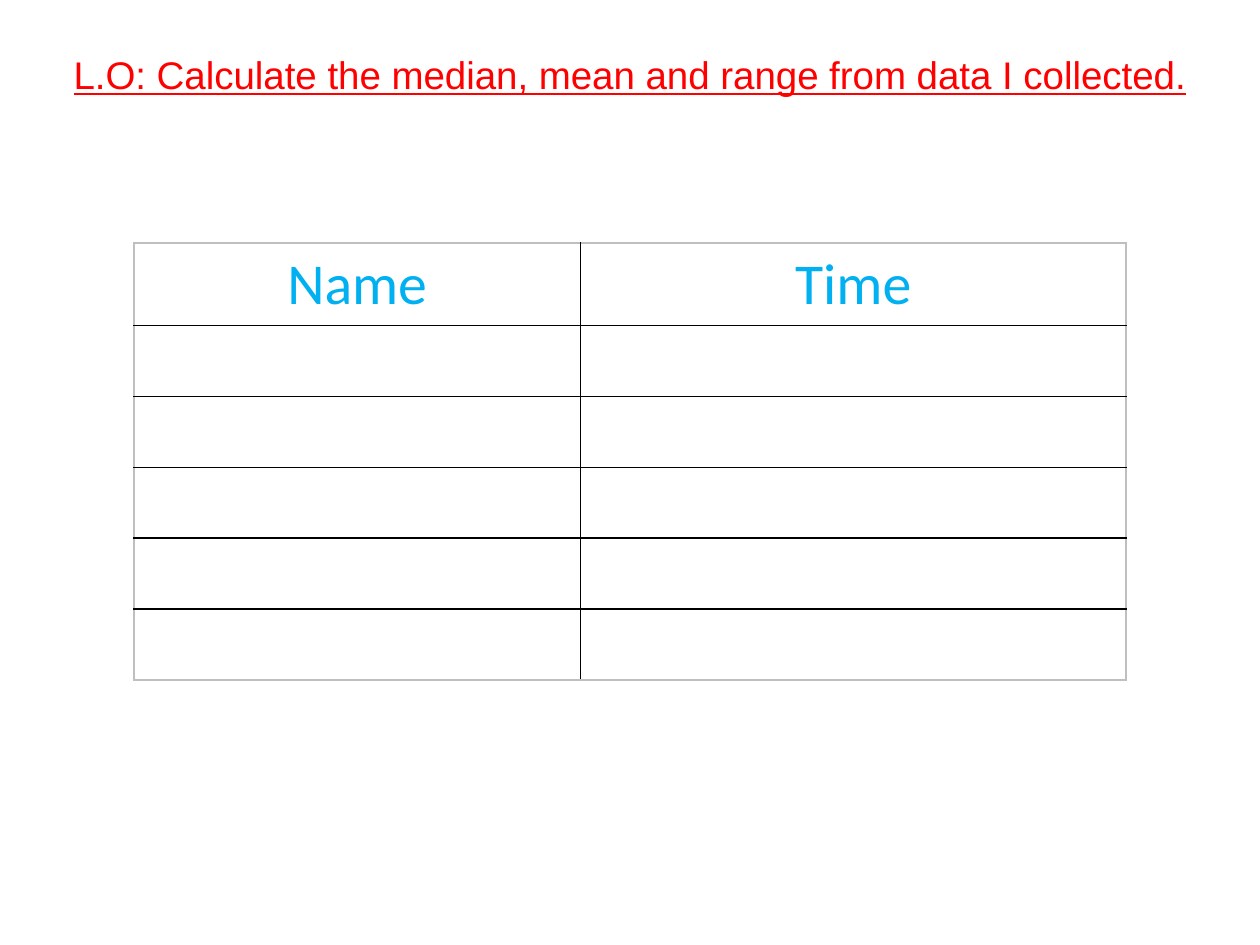
from lxml import etree
from pptx import Presentation
from pptx.dml.color import RGBColor
from pptx.enum.text import MSO_ANCHOR, MSO_AUTO_SIZE, PP_ALIGN
from pptx.oxml.ns import qn
from pptx.util import Cm, Pt

CENTER = PP_ALIGN.CENTER
TOP = MSO_ANCHOR.TOP
GROW = MSO_AUTO_SIZE.SHAPE_TO_FIT_TEXT
TITLE_ONLY = 5

RED = "FF0000"
SKY = "00B0F0"
BLACK = "000000"
GREY = "BFBFBF"
WHITE = "FFFFFF"


def color(value):
    return RGBColor.from_string(value)


def write(frame, text, *, font, size, ink, underline=False):
    para = frame.paragraphs[0]
    para.alignment = CENTER
    span = para.add_run()
    span.text = text
    span.font.name = font
    span.font.size = Pt(size)
    span.font.color.rgb = color(ink)
    span.font.bold = False
    span.font.underline = underline


def add_border(cell, side, ink):
    properties = cell._tc.get_or_add_tcPr()
    line = etree.SubElement(properties, qn(f"a:ln{side}"), w=str(Pt(1)))
    fill = etree.SubElement(line, qn("a:solidFill"))
    etree.SubElement(fill, qn("a:srgbClr"), val=ink)


class LessonSlide:
    title_style = {"font": "Arial", "size": 22, "ink": RED, "underline": True}
    header_style = {"font": "Calibri", "size": 33, "ink": SKY}

    def __init__(self, deck):
        self.page = deck.slides.add_slide(deck.slide_layouts[TITLE_ONLY])

    def title(self, text, left, top, width, height):
        box = self.page.shapes.title
        box.left, box.top, box.width, box.height = map(Cm, (left, top, width, height))
        frame = box.text_frame
        frame.word_wrap = True
        frame.auto_size = GROW
        frame.vertical_anchor = TOP
        write(frame, text, **self.title_style)

    def table(self, headers, left, top, widths, heights):
        row_count, column_count = len(heights), len(widths)
        table = self.page.shapes.add_table(
            row_count, column_count, Cm(left), Cm(top), Cm(sum(widths)), Cm(sum(heights))
        ).table
        table.horz_banding = False
        for column, width in zip(table.columns, widths):
            column.width = Cm(width)
        for row, height in zip(table.rows, heights):
            row.height = Cm(height)
        for r in range(row_count):
            for c in range(column_count):
                cell = table.cell(r, c)
                outer = {
                    "L": c == 0,
                    "R": c == column_count - 1,
                    "T": r == 0,
                    "B": r == row_count - 1,
                }
                for side, is_outer in outer.items():
                    add_border(cell, side, GREY if is_outer else BLACK)
                cell.fill.solid()
                cell.fill.fore_color.rgb = color(WHITE)
        for c, text in enumerate(headers):
            write(table.cell(0, c).text_frame, text, **self.header_style)


def main():
    deck = Presentation()
    deck.slide_width, deck.slide_height = Cm(25.4), Cm(19.05)
    slide = LessonSlide(deck)
    slide.title(
        "L.O: Calculate the median, mean and range from data I collected.",
        0.5, 0.91, 24.4, 1.2,
    )
    slide.table(["Name", "Time"], 2.7, 4.9, [9, 11], [1.66] + [1.43] * 5)
    deck.save("out.pptx")


if __name__ == "__main__":
    main()
